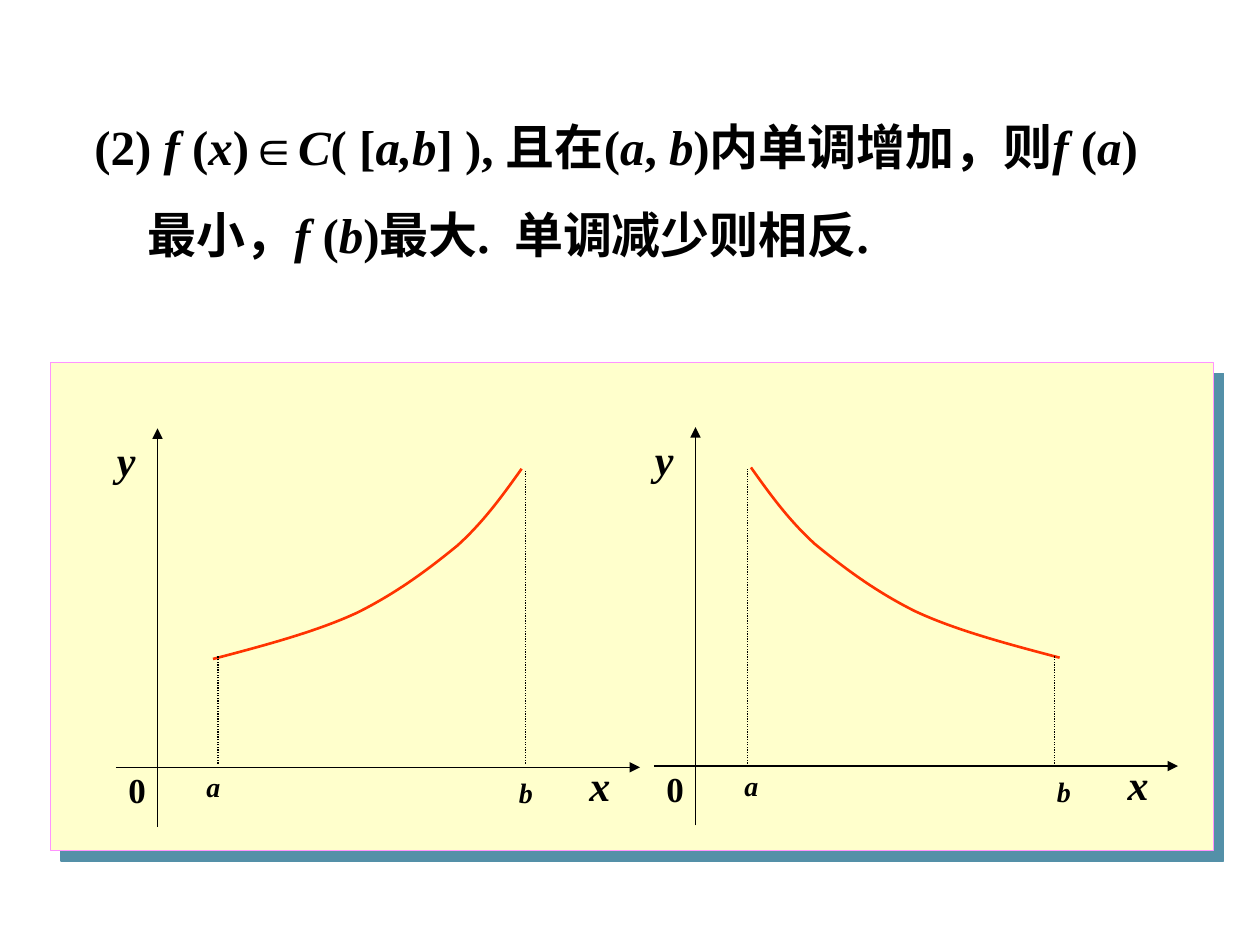
from dataclasses import dataclass, field

from lxml.etree import SubElement
from pptx import Presentation
from pptx.dml.color import RGBColor
from pptx.enum.dml import MSO_LINE
from pptx.enum.shapes import MSO_CONNECTOR as Connector, MSO_SHAPE as Shape
from pptx.oxml.ns import qn
from pptx.slide import Slide
from pptx.util import Inches, Pt

COLORS = {
    "ink": "000000",
    "panel": "FFFFCC",
    "border": "FF93FF",
    "shadow": "5490A8",
    "curve": "FF3300",
}
STATEMENT = (
    "(2) |f |(|x|)||∈|C|( [|a,b|] ), 且在(|a|, |b|)内单调增加，则|f |(|a|)最小，"
    "|f |(|b|)最大.  单调减少则相反."
)
RISING = [
    (1.69, 5.23), (2.11, 5.12), (2.52, 5.01), (2.84, 4.86), (3.16, 4.7),
    (3.41, 4.51), (3.63, 4.33), (3.84, 4.14), (3.99, 3.93), (4.14, 3.72),
]
MIRROR_SUM = 10.1
FALLING = [(MIRROR_SUM - x, y) for x, y in RISING]


@dataclass
class Sketch:
    slide: Slide
    font: str = "Times New Roman"
    symbol_font: str = "Arial"
    colors: dict = field(default_factory=lambda: COLORS)

    def color(self, name):
        return RGBColor.from_string(self.colors[name])

    def panel(self, left, top, width, height):
        panel = self.slide.shapes.add_shape(
            Shape.RECTANGLE, Inches(left), Inches(top), Inches(width), Inches(height)
        )
        panel.fill.solid()
        panel.fill.fore_color.rgb = self.color("panel")
        panel.line.color.rgb = self.color("border")
        panel.line.width = Pt(0.75)
        panel.shadow.inherit = False
        effects = panel._element.spPr.find(qn("a:effectLst"))
        shadow = SubElement(
            effects, qn("a:outerShdw"), dist=str(Pt(8.5)), dir="2700000",
            algn="ctr", rotWithShape="0",
        )
        SubElement(shadow, qn("a:srgbClr"), val=self.colors["shadow"])

    def text(self, pieces, left, top, width, height, size, wrap=True):
        box = self.slide.shapes.add_textbox(
            Inches(left), Inches(top), Inches(width), Inches(height)
        )
        box.text_frame.word_wrap = wrap
        paragraph = box.text_frame.paragraphs[0]
        for index, piece in enumerate(pieces.split("|")):
            if not piece:
                continue
            run = paragraph.add_run()
            run.text = piece
            run.font.name = self.symbol_font if piece == "∈" else self.font
            run.font.size = Pt(size)
            run.font.bold = True
            run.font.italic = index % 2 == 1
            run.font.color.rgb = self.color("ink")
        return paragraph

    def line(self, start, end, arrow=False, dotted=False):
        line = self.slide.shapes.add_connector(
            Connector.STRAIGHT, *(Inches(value) for value in (*start, *end))
        )
        line.line.color.rgb = self.color("ink")
        line.line.width = Pt(0.75)
        if dotted:
            line.line.dash_style = MSO_LINE.ROUND_DOT
        if arrow:
            SubElement(line.line._get_or_add_ln(), qn("a:tailEnd"), type="triangle")
        SubElement(line._element.spPr, qn("a:effectLst"))

    def curve(self, points):
        start, *controls = [(Inches(x), Inches(y)) for x, y in points]
        builder = self.slide.shapes.build_freeform(*start)
        builder.add_line_segments(controls, close=False)
        curve = builder.convert_to_shape()
        outline = next(curve._element.iter(qn("a:path")))
        segments = outline.findall(qn("a:lnTo"))
        for first in range(0, len(segments), 3):
            bezier = SubElement(outline, qn("a:cubicBezTo"))
            for segment in segments[first:first + 3]:
                bezier.append(segment[0])
                outline.remove(segment)
        curve.fill.background()
        curve.line.color.rgb = self.color("curve")
        curve.line.width = Pt(1.5)
        curve.shadow.inherit = False

    def graph(self, points, dx=0, dy=0):
        self.text("|a", 1.54 + dx, 6.06 + dy, 0.31, 0.37, 16, wrap=False)
        self.text("|b", 4.02 + dx, 6.11 + dy, 0.31, 0.37, 16, wrap=False)
        self.curve([(x, y + dy) for x, y in points])
        rising = points[0][0] < points[-1][0]
        for x, top in ((1.73, 5.21), (4.17, 3.73)):
            foot = x if rising else MIRROR_SUM - x
            self.line((foot, 6.06), (foot, top + dy), dotted=True)
        self.line((0.92 + dx, 6.09 + dy), (5.08 + dx, 6.09 + dy), arrow=True)
        self.line((1.25 + dx, 6.56 + dy), (1.25 + dx, 3.4 + dy), arrow=True)
        self.text("|x", 4.58 + dx, 5.98 + dy, 0.58, 0.5, 24)
        self.text("|y", 0.83 + dx, 3.4 + dy, 0.5, 0.5, 24)
        self.text("0", 0.92 + dx, 6.05 + dy, 0.25, 0.44, 20)


def main():
    deck = Presentation()
    deck.slide_width, deck.slide_height = Inches(10), Inches(7.5)
    sketch = Sketch(deck.slides.add_slide(deck.slide_layouts[6]))
    sketch.panel(0.4, 2.88, 9.23, 3.87)
    statement = sketch.text(STATEMENT, 0.65, 0.64, 8.52, 1.5, 28)
    statement.line_spacing = 1.5
    indent = statement._p.get_or_add_pPr()
    indent.set("marL", str(Inches(0.42)))
    indent.set("indent", str(-Inches(0.42)))
    sketch.graph(RISING)
    sketch.graph(FALLING, dx=4.27, dy=-0.01)
    deck.save("out.pptx")


if __name__ == "__main__":
    main()
